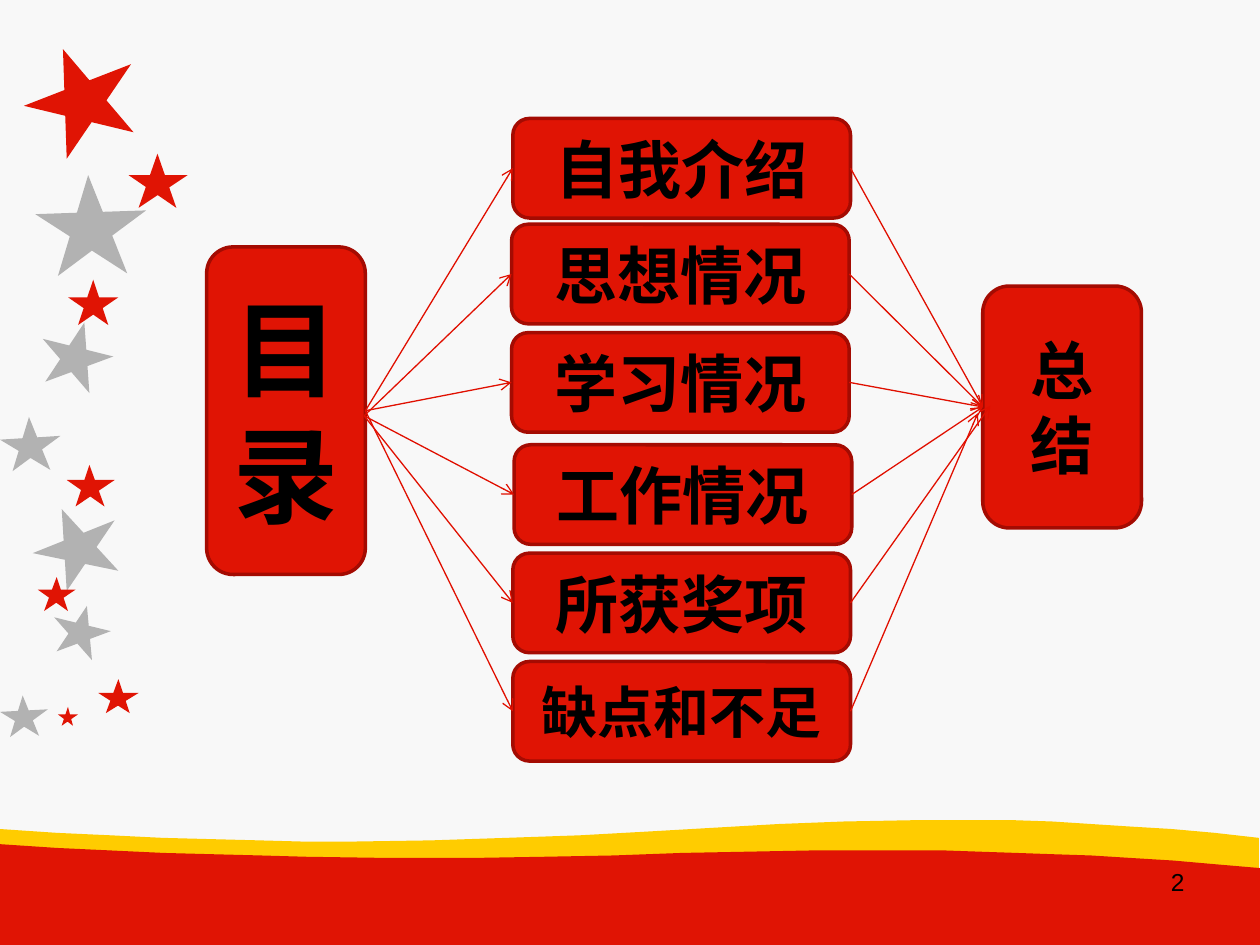
from lxml import etree
from pptx import Presentation
from pptx.dml.color import RGBColor
from pptx.enum.shapes import MSO_CONNECTOR, MSO_SHAPE
from pptx.enum.text import MSO_ANCHOR, PP_ALIGN
from pptx.oxml.ns import qn
from pptx.util import Inches, Pt

STRAIGHT = MSO_CONNECTOR.STRAIGHT
ROUNDED = MSO_SHAPE.ROUNDED_RECTANGLE
MIDDLE = MSO_ANCHOR.MIDDLE
CENTER, RIGHT = PP_ALIGN.CENTER, PP_ALIGN.RIGHT
LEFT_SIDE, RIGHT_SIDE = 1, 3

BACKGROUND, RED, YELLOW, GREY = "F8F8F8", "E01404", "FFCC00", "B2B2B2"
BOX_EDGE, ARROW_RED, BLACK = "A40B02", "E00F00", "000000"

YELLOW_WAVE = [
    (0, 7.4), (9.99, 7.4), (9.99, 6.65), (9.64, 6.61), (9.3, 6.58), (8.97, 6.56),
    (8.66, 6.54), (8.35, 6.52), (8.06, 6.51), (7.23, 6.51), (6.7, 6.52),
    (6.18, 6.54), (5.66, 6.57), (5.14, 6.6), (4.6, 6.63), (4.02, 6.65),
    (3.42, 6.67), (2.77, 6.68), (2.42, 6.68), (2.06, 6.67), (1.68, 6.66),
    (1.29, 6.65), (0.88, 6.63), (0.45, 6.61), (0, 6.58),
]
RED_WAVE = [
    (0, 6.7), (0.45, 6.73), (0.88, 6.75), (1.3, 6.77), (1.69, 6.78), (2.07, 6.79),
    (2.43, 6.8), (3.1, 6.81), (3.73, 6.81), (4.32, 6.8), (4.87, 6.79),
    (5.41, 6.77), (5.93, 6.76), (6.44, 6.75), (7.5, 6.75), (7.78, 6.76),
    (8.07, 6.77), (8.36, 6.78), (8.66, 6.79), (8.98, 6.81), (9.31, 6.83),
    (9.65, 6.86), (10, 6.89), (10, 7.5), (0, 7.5),
]
# Colour and the five tips, clockwise
STARS = [
    (GREY, [(0.67, 2.56), (0.9, 2.83), (0.71, 3.12), (0.36, 3.03), (0.34, 2.69)]),
    (GREY, [(0.23, 3.31), (0.48, 3.46), (0.4, 3.73), (0.1, 3.74), (0, 3.49)]),
    (GREY, [(0.7, 1.39), (1.16, 1.67), (1.01, 2.17), (0.46, 2.19), (0.28, 1.7)]),
    (RED, [(1.25, 1.22), (1.49, 1.39), (1.4, 1.65), (1.1, 1.65), (1.02, 1.39)]),
    (RED, [(0.74, 2.22), (0.94, 2.36), (0.86, 2.58), (0.62, 2.58), (0.54, 2.36)]),
    (RED, [(0.5, 0.39), (1.04, 0.51), (1.06, 1.05), (0.53, 1.26), (0.19, 0.84)]),
    (GREY, [(0.69, 4.81), (0.88, 5.01), (0.73, 5.24), (0.45, 5.17), (0.43, 4.9)]),
    (GREY, [(0.18, 5.52), (0.38, 5.63), (0.31, 5.84), (0.08, 5.85), (0, 5.65)]),
    (GREY, [(0.49, 4.04), (0.91, 4.13), (0.94, 4.53), (0.53, 4.69), (0.26, 4.39)]),
    (RED, [(0.71, 3.69), (0.91, 3.81), (0.83, 4.02), (0.6, 4.02), (0.53, 3.81)]),
    (RED, [(0.94, 5.39), (1.1, 5.5), (1.03, 5.66), (0.84, 5.66), (0.78, 5.5)]),
    (RED, [(0.45, 4.58), (0.6, 4.68), (0.54, 4.85), (0.35, 4.85), (0.3, 4.68)]),
    (RED, [(0.54, 5.61), (0.62, 5.67), (0.58, 5.76), (0.49, 5.76), (0.46, 5.67)]),
]
# Label, left, top, text size, loose start and loose end (None: joined to the box)
TOPICS = [
    ("自我介绍", 4.07, 0.94, 36, None, None),
    ("思想情况", 4.06, 1.78, 36, (2.89, 3.3), None),
    ("学习情况", 4.06, 2.64, 36, None, None),
    ("工作情况", 4.08, 3.53, 36, (2.89, 3.3), None),
    ("所获奖项", 4.07, 4.39, 36, (2.89, 3.3), (7.86, 3.22)),
    ("缺点和不足", 4.07, 5.25, 32, None, (7.76, 3.28)),
]


def color(hex_value):
    return RGBColor.from_string(hex_value)


def paint(shape, fill):
    shape.shadow.inherit = False
    shape.fill.solid()
    shape.fill.fore_color.rgb = color(fill)


def write(shape, text, align, size, bold=False):
    frame = shape.text_frame
    frame.word_wrap = True
    paragraph = frame.paragraphs[0]
    paragraph.alignment = align
    run = paragraph.add_run()
    run.text = text
    for name, value in {"name": "Arial", "size": Pt(size), "bold": bold}.items():
        setattr(run.font, name, value)
    run.font.color.rgb = color(BLACK)


def add_outline(slide, points, fill):
    start, *rest = [(Inches(x), Inches(y)) for x, y in points]
    builder = slide.shapes.build_freeform(*start)
    builder.add_line_segments(rest, close=True)
    outline = builder.convert_to_shape()
    paint(outline, fill)
    outline.line.fill.background()


def crossing(a, b, c, d):
    """Point where the line through a and b meets the line through c and d."""
    abx, aby = b[0] - a[0], b[1] - a[1]
    cdx, cdy = d[0] - c[0], d[1] - c[1]
    share = ((c[0] - a[0]) * cdy - (c[1] - a[1]) * cdx) / (abx * cdy - aby * cdx)
    return a[0] + share * abx, a[1] + share * aby


def add_star(slide, tips, fill):
    points = []
    for i, tip in enumerate(tips):
        following, second = tips[(i + 1) % 5], tips[(i + 2) % 5]
        points += [tip, crossing(tip, second, tips[i - 1], following)]
    add_outline(slide, points, fill)


def add_box(slide, text, left, top, width, height, size):
    box = slide.shapes.add_shape(
        ROUNDED, Inches(left), Inches(top), Inches(width), Inches(height))
    paint(box, RED)
    box.line.color.rgb = color(BOX_EDGE)
    box.line.width = Pt(2)
    box.text_frame.vertical_anchor = MIDDLE
    write(box, text, CENTER, size, bold=True)
    return box


def add_arrow(slide, source, target, loose_start=None, loose_end=None):
    """Arrow from the right side of source to the left side of target."""
    start = [Inches(v) for v in loose_start or (0, 0)]
    end = [Inches(v) for v in loose_end or (0, 0)]
    arrow = slide.shapes.add_connector(STRAIGHT, *start, *end)
    if not loose_start:
        arrow.begin_connect(source, RIGHT_SIDE)
    if not loose_end:
        arrow.end_connect(target, LEFT_SIDE)
    arrow.line.color.rgb = color(ARROW_RED)
    arrow.line.width = Pt(0.75)
    etree.SubElement(arrow.line._get_or_add_ln(), qn("a:tailEnd"), type="arrow")
    etree.SubElement(arrow._element.spPr, qn("a:effectLst"))


def add_page_number(slide, number):
    box = slide.shapes.add_textbox(Inches(7.17), Inches(6.83), Inches(2.33), Inches(0.52))
    write(box, number, RIGHT, 14)


def main():
    deck = Presentation()
    deck.slide_width, deck.slide_height = Inches(10), Inches(7.5)
    slide = deck.slides.add_slide(deck.slide_layouts[6])
    slide.background.fill.solid()
    slide.background.fill.fore_color.rgb = color(BACKGROUND)

    add_outline(slide, YELLOW_WAVE, YELLOW)
    add_outline(slide, RED_WAVE, RED)
    for fill, tips in STARS:
        add_star(slide, tips, fill)
    add_page_number(slide, "2")

    contents = add_box(slide, "目录", 1.64, 1.96, 1.26, 2.6, 60)
    summary = add_box(slide, "总结", 7.8, 2.27, 1.26, 1.92, 36)
    for label, left, top, size, loose_start, loose_end in TOPICS:
        topic = add_box(slide, label, left, top, 2.68, 0.79, size)
        add_arrow(slide, contents, topic, loose_start=loose_start)
        add_arrow(slide, topic, summary, loose_end=loose_end)

    deck.save("out.pptx")


if __name__ == "__main__":
    main()
